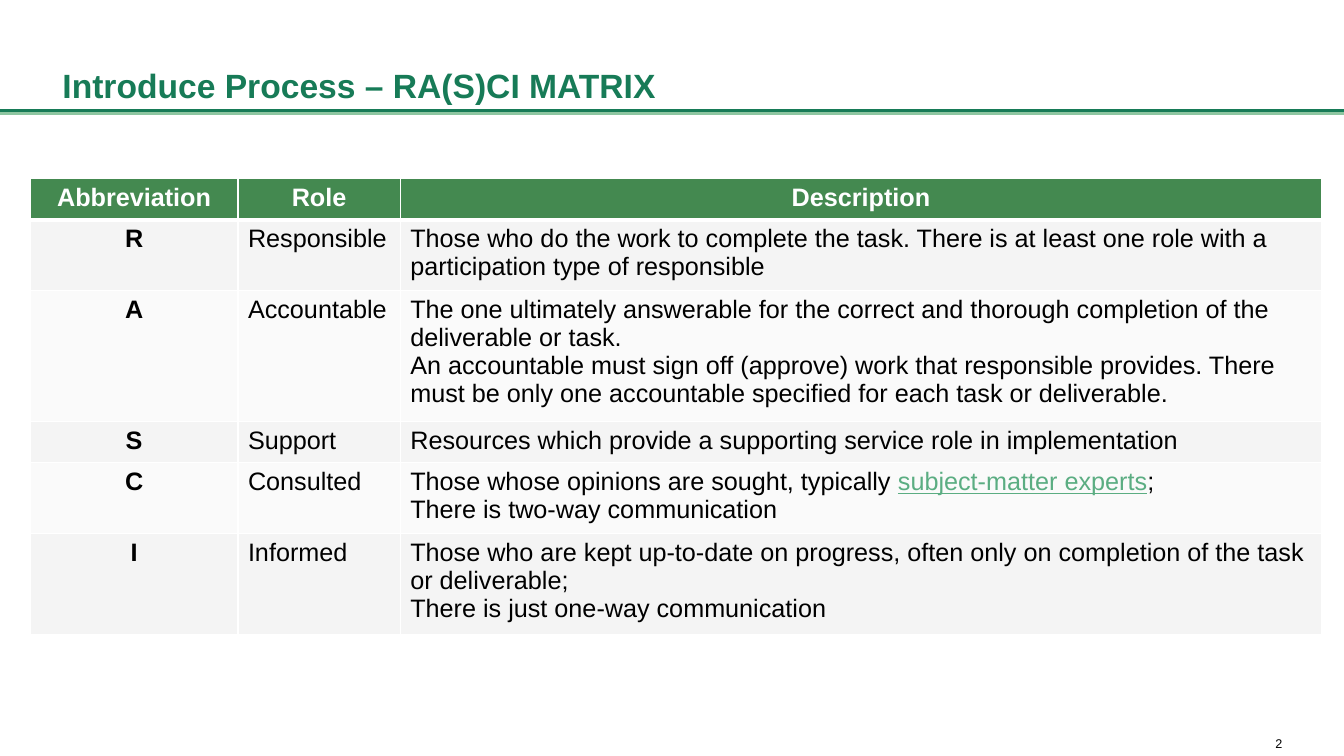
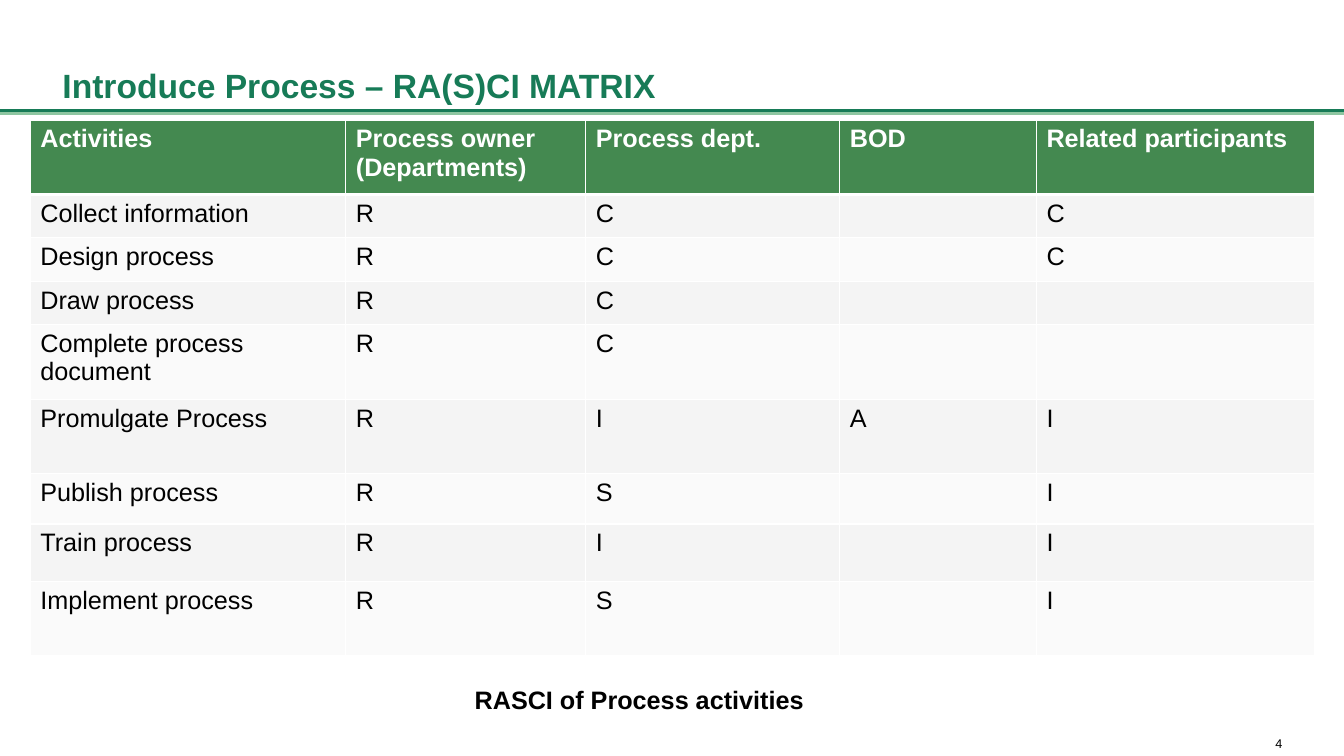
from dataclasses import dataclass

from lxml.etree import SubElement
from pptx import Presentation
from pptx.dml.color import RGBColor
from pptx.enum.text import MSO_ANCHOR, PP_ALIGN
from pptx.oxml.ns import qn
from pptx.slide import Slide
from pptx.table import _Cell
from pptx.text.text import TextFrame
from pptx.util import Inches, Pt


@dataclass(frozen=True)
class Theme:
    font: str = "Arial"
    green: str = "177B57"
    pale_green: str = "8EC6A1"
    header: str = "448950"
    accent: str = "5BAD82"
    bands: tuple[str, str] = ("F4F4F4", "FAFAFA")
    white: str = "FFFFFF"
    black: str = "000000"
    title_size: int = 24
    body_size: int = 18
    number_size: int = 9
    rule_width: float = 2.25
    border: int = 1
    header_border: int = 3


@dataclass(frozen=True)
class Style:
    size: int
    color: str
    bold: bool = False
    align: PP_ALIGN = PP_ALIGN.LEFT


@dataclass(frozen=True)
class Area:
    left: float
    top: float
    width: float
    height: float


@dataclass(frozen=True)
class Grid:
    """A table; a keyed one has a centred header and a bold, centred first column."""
    top: float
    columns: tuple[float, ...]
    rows: tuple[float, ...]
    texts: tuple[tuple[str, ...], ...]
    keyed: bool = False


@dataclass(frozen=True)
class Page:
    number: int
    grid: Grid
    caption: str = ""


THEME = Theme()
SLIDE_WIDTH, SLIDE_HEIGHT = 13.33, 7.5
RULE_TOP = 1.1
GRID_LEFT = 0.3
TITLE = "Introduce Process – RA(S)CI MATRIX"
TITLE_AREA = Area(0.62, 0.18, 12.1, 0.91)
NUMBER_AREA = Area(12.46, 7.3, 0.26, 0.14)
CAPTION_AREA = Area(4.59, 6.69, 3.5, 0.5)

TITLE_STYLE = Style(THEME.title_size, THEME.green, bold=True)
NUMBER_STYLE = Style(THEME.number_size, THEME.black, align=PP_ALIGN.RIGHT)
CAPTION_STYLE = Style(THEME.body_size, THEME.black, bold=True, align=PP_ALIGN.CENTER)

ROLES = Grid(
    top=1.77,
    columns=(2.06, 1.61, 9.14),
    rows=(0.41,) * 6,
    keyed=True,
    texts=(
        ("Abbreviation", "Role", "Description"),
        ("R", "Responsible",
         "Those who do the work to complete the task. There is at least one role "
         "with a participation type of responsible"),
        ("A", "Accountable",
         "The one ultimately answerable for the correct and thorough completion "
         "of the deliverable or task.\n"
         "An accountable must sign off (approve) work that responsible provides. "
         "There must be only one accountable specified for each task or deliverable."),
        ("S", "Support",
         "Resources which provide a supporting service role in implementation"),
        ("C", "Consulted",
         "Those whose opinions are sought, typically |subject-matter experts|;\n"
         "There is two-way communication"),
        ("I", "Informed",
         "Those who are kept up-to-date on progress, often only on completion of "
         "the task or deliverable;\n"
         "There is just one-way communication"),
    ),
)

ACTIVITIES = Grid(
    top=1.19,
    columns=(3.13, 2.38, 2.52, 1.95, 2.76),
    rows=(0.74, 0.43, 0.43, 0.43, 0.74, 0.74, 0.5, 0.57, 0.74),
    texts=(
        ("Activities", "Process owner (Departments)", "Process dept.", "BOD",
         "Related participants"),
        ("Collect information", "R", "C", "", "C"),
        ("Design process", "R", "C", "", "C"),
        ("Draw process", "R", "C", "", ""),
        ("Complete process document", "R", "C", "", ""),
        ("Promulgate Process", "R", "I", "A", "I"),
        ("Publish process", "R", "S", "", "I"),
        ("Train process", "R", "I", "", "I"),
        ("Implement process", "R", "S", "", "I"),
    ),
)

PAGES = (Page(2, ROLES), Page(4, ACTIVITIES, "RASCI of Process activities"))


def write(frame: TextFrame, text: str, style: Style) -> None:
    """Fill the frame, one paragraph a line; words between bars get the accent."""
    for index, line in enumerate(text.split("\n")):
        para = frame.paragraphs[0] if index == 0 else frame.add_paragraph()
        para.alignment = style.align
        for position, words in enumerate(line.split("|")):
            if not words:
                continue
            accented = position % 2 == 1
            span = para.add_run()
            span.text = words
            formats = {"name": THEME.font, "size": Pt(style.size),
                       "bold": style.bold, "underline": accented}
            for name, value in formats.items():
                setattr(span.font, name, value)
            color = THEME.accent if accented else style.color
            span.font.color.rgb = RGBColor.from_string(color)


def add_text(page: Slide, area: Area, text: str, style: Style,
             margins: tuple[float, float] = (0, 0), wrap: bool = False,
             anchor: MSO_ANCHOR = MSO_ANCHOR.TOP) -> None:
    box = page.shapes.add_textbox(Inches(area.left), Inches(area.top),
                                  Inches(area.width), Inches(area.height))
    across, down = (Inches(margin) for margin in margins)
    formats = {"margin_left": across, "margin_right": across,
               "margin_top": down, "margin_bottom": down,
               "word_wrap": wrap, "vertical_anchor": anchor}
    for name, value in formats.items():
        setattr(box.text_frame, name, value)
    write(box.text_frame, text, style)


def add_title_rule(page: Slide) -> None:
    """Draw the line under the title with its pale edge, a hard shadow below."""
    rule = page.shapes.add_connector(1, Inches(SLIDE_WIDTH), Inches(RULE_TOP),
                                     0, Inches(RULE_TOP))
    rule.line.color.rgb = RGBColor.from_string(THEME.green)
    rule.line.width = Pt(THEME.rule_width)
    effects = SubElement(rule._element.spPr, qn("a:effectLst"))
    shadow = SubElement(effects, qn("a:outerShdw"), dist=str(Pt(2)),
                        dir="5400000", algn="ctr", rotWithShape="0")
    SubElement(shadow, qn("a:srgbClr"), val=THEME.pale_green)


def set_borders(cell: _Cell, top: int, bottom: int) -> None:
    widths = {"L": THEME.border, "R": THEME.border, "T": top, "B": bottom}
    properties = cell._tc.get_or_add_tcPr()
    for side, width in widths.items():
        edge = SubElement(properties, qn(f"a:ln{side}"), w=str(Pt(width)))
        fill = SubElement(edge, qn("a:solidFill"))
        SubElement(fill, qn("a:srgbClr"), val=THEME.white)


def cell_style(grid: Grid, row: int, column: int) -> Style:
    header = row == 0
    key = grid.keyed and column == 0
    centered = key or (grid.keyed and header)
    return Style(THEME.body_size, THEME.white if header else THEME.black,
                 bold=header or key,
                 align=PP_ALIGN.CENTER if centered else PP_ALIGN.LEFT)


def add_grid(page: Slide, grid: Grid) -> None:
    table = page.shapes.add_table(
        len(grid.rows), len(grid.columns), Inches(GRID_LEFT), Inches(grid.top),
        Inches(sum(grid.columns)), Inches(sum(grid.rows))).table
    table.horz_banding = False
    for column, width in zip(table.columns, grid.columns):
        column.width = Inches(width)
    for row, height in zip(table.rows, grid.rows):
        row.height = Inches(height)
    for row, texts in enumerate(grid.texts):
        fill = THEME.bands[(row - 1) % 2] if row else THEME.header
        top = THEME.header_border if row == 1 else THEME.border
        bottom = THEME.border if row else THEME.header_border
        for column, text in enumerate(texts):
            cell = table.cell(row, column)
            set_borders(cell, top, bottom)
            cell.fill.solid()
            cell.fill.fore_color.rgb = RGBColor.from_string(fill)
            write(cell.text_frame, text, cell_style(grid, row, column))


def main() -> None:
    deck = Presentation()
    deck.slide_width = Inches(SLIDE_WIDTH)
    deck.slide_height = Inches(SLIDE_HEIGHT)
    for content in PAGES:
        page = deck.slides.add_slide(deck.slide_layouts[6])
        add_title_rule(page)
        add_text(page, NUMBER_AREA, str(content.number), NUMBER_STYLE, wrap=True)
        add_text(page, TITLE_AREA, TITLE, TITLE_STYLE, margins=(0, 0.05),
                 wrap=True, anchor=MSO_ANCHOR.BOTTOM)
        add_grid(page, content.grid)
        if content.caption:
            add_text(page, CAPTION_AREA, content.caption, CAPTION_STYLE,
                     margins=(0.1, 0.1))
    deck.save("out.pptx")


if __name__ == "__main__":
    main()
